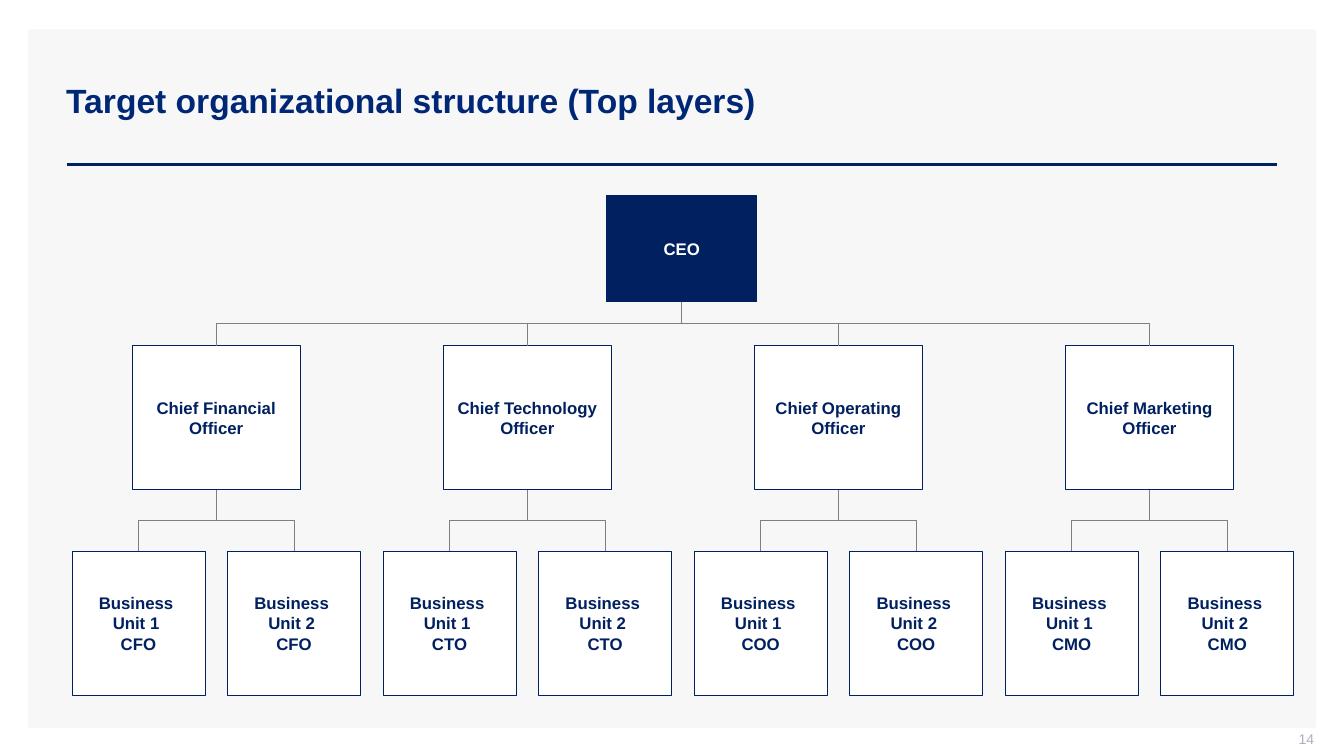
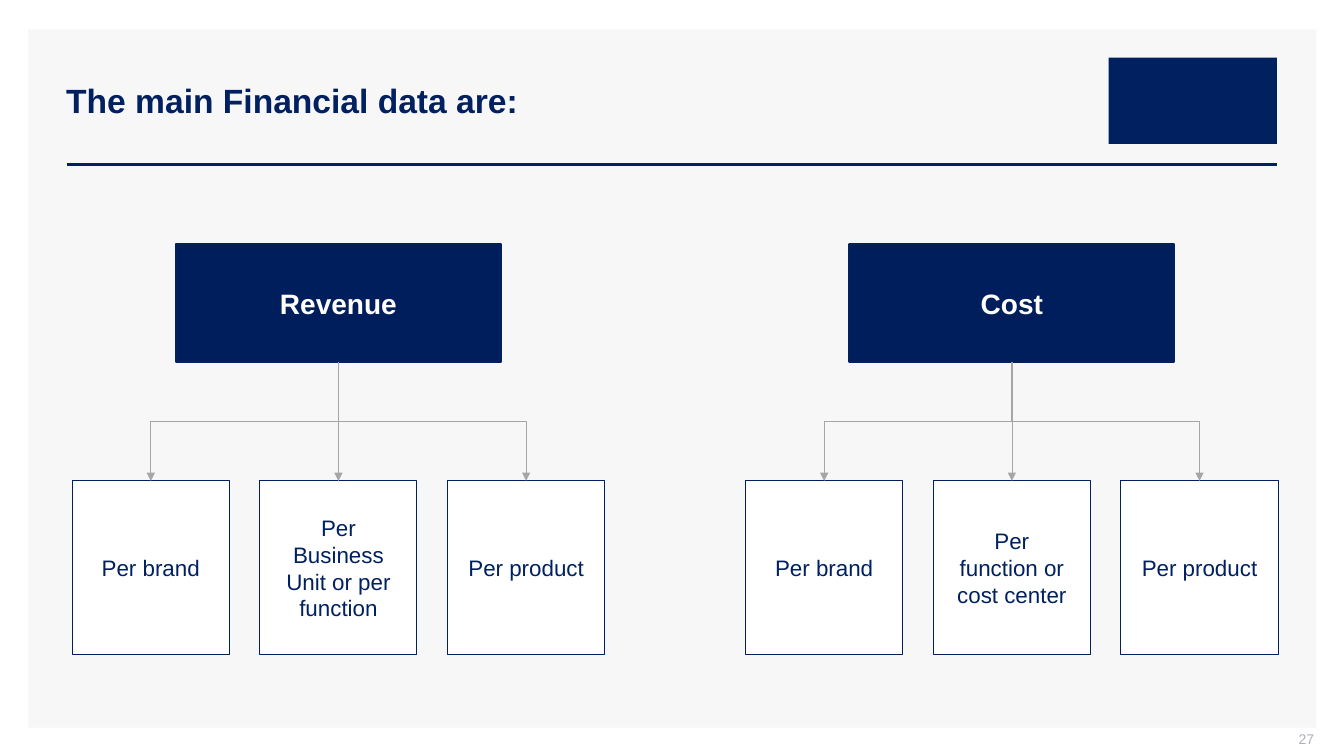
from lxml.etree import SubElement
from pptx import Presentation
from pptx.dml.color import RGBColor
from pptx.enum.shapes import MSO_CONNECTOR, MSO_SHAPE
from pptx.enum.text import MSO_ANCHOR, PP_ALIGN
from pptx.oxml.ns import qn
from pptx.util import Cm, Pt

NAVY, WHITE = "002060", "FFFFFF"


def color(code):
    return RGBColor.from_string(code)


def write(shape, text, size=12, ink=NAVY, bold=False, align=PP_ALIGN.CENTER,
          pads=(0.25, 0.13, 0.25, 0.13)):
    """Fill a shape with text; pads are left, top, right, bottom in cm."""
    frame = shape.text_frame
    frame.word_wrap = True
    frame.vertical_anchor = MSO_ANCHOR.MIDDLE
    (frame.margin_left, frame.margin_top,
     frame.margin_right, frame.margin_bottom) = map(Cm, pads)
    frame.text = text
    for para in frame.paragraphs:
        para.alignment = align
        for run in para.runs:
            font = run.font
            font.name, font.size, font.bold = "Arial", Pt(size), bold
            font.color.rgb = color(ink)


class Deck:
    """Holds the style of the slides and the current slide."""

    def __init__(self):
        self.pres = Presentation()
        self.pres.slide_width, self.pres.slide_height = Cm(33.87), Cm(19.05)
        self.slide = None

    def page(self, title, number, ink=NAVY):
        self.slide = self.pres.slides.add_slide(self.pres.slide_layouts[6])
        self.rect(0.71, 0.74, 32.46, 17.6, "F7F7F7")
        self.line(1.68, 4.14, 32.18, 4.14, NAVY, 2)
        self.label(1.42, 1.02, 30.76, 3.02, title, size=24, ink=ink,
                   bold=True, align=PP_ALIGN.LEFT)
        self.label(25.5, 18.41, 7.62, 0.53, number, size=10, ink="ADAFBB",
                   align=PP_ALIGN.RIGHT, pads=(0.25, 0, 0, 0.13))

    def label(self, x, y, w, h, text, **style):
        box = self.slide.shapes.add_textbox(Cm(x), Cm(y), Cm(w), Cm(h))
        write(box, text, **style)

    def rect(self, x, y, w, h, fill, edge=0):
        shape = self.slide.shapes.add_shape(
            MSO_SHAPE.RECTANGLE, Cm(x), Cm(y), Cm(w), Cm(h))
        shape.shadow.inherit = False
        shape.fill.solid()
        shape.fill.fore_color.rgb = color(fill)
        if edge:
            shape.line.color.rgb = color(NAVY)
            shape.line.width = Pt(edge)
        else:
            shape.line.fill.background()
        return shape

    def node(self, mid, y, w, h, text, fill=WHITE, edge=0.5, pad=0.05, **style):
        """Draw a text box of the chart, centred on mid."""
        shape = self.rect(mid - w / 2, y, w, h, fill, edge)
        write(shape, text, pads=(pad, 0.05, pad, 0.05), **style)
        return shape

    def line(self, x1, y1, x2, y2, ink, width, kind=MSO_CONNECTOR.STRAIGHT,
             arrow=False):
        link = self.slide.shapes.add_connector(
            kind, Cm(x1), Cm(y1), Cm(x2), Cm(y2))
        link.line.color.rgb = color(ink)
        link.line.width = Pt(width)
        props = link.element.spPr
        if arrow:
            SubElement(props.find(qn("a:ln")), qn("a:tailEnd"), type="triangle")
        SubElement(props, qn("a:effectLst"))
        return link

    def join(self, top, low, ink, arrow=False):
        """Link the bottom of one box to the top of another."""
        x1, x2 = (box.left + box.width // 2 for box in (top, low))
        y1, y2 = top.top + top.height, low.top
        bent = abs(x2 - x1) > Cm(0.05)
        kind = MSO_CONNECTOR.ELBOW if bent else MSO_CONNECTOR.STRAIGHT
        link = self.line(0, 0, 1, 1, ink, 0.5, kind, arrow)
        link.begin_connect(top, 2)
        link.end_connect(low, 0)
        if bent:
            # A quarter turn makes the elbow leave downwards
            wide, high = abs(x2 - x1), y2 - y1
            link.left = (x1 + x2 - high) // 2
            link.top = (y1 + y2 - wide) // 2
            link.width, link.height = high, wide
            link.rotation = 270 if x2 > x1 else 90
            link.element.spPr.xfrm.flipH = x2 > x1


def people(deck):
    deck.page("Target organizational structure (Top layers)", "14", "002776")
    grey = "7F7F7F"
    ceo = deck.node(17.18, 4.93, 3.78, 2.67, "CEO", NAVY, ink=WHITE, bold=True)
    roles = [("Financial", "CFO"), ("Technology", "CTO"),
             ("Operating", "COO"), ("Marketing", "CMO")]
    for i, (field, short) in enumerate(roles):
        mid = 5.45 + 7.84 * i
        chief = deck.node(mid, 8.71, 4.24, 3.63, f"Chief {field} Officer",
                          pad=0.15, bold=True)
        deck.join(ceo, chief, grey)
        for unit, shift in ((1, -1.96), (2, 1.96)):
            leaf = deck.node(mid + shift, 13.89, 3.35, 3.63,
                             f"Business \nUnit {unit} \n{short}",
                             pad=0.15, bold=True)
            deck.join(chief, leaf, grey)


def money(deck):
    deck.page("The main Financial data are:", "27")
    deck.rect(27.94, 1.45, 4.24, 2.18, NAVY)
    trees = [(8.53, "Revenue", "Per Business Unit or per function"),
             (25.5, "Cost", "Per function or cost center")]
    for mid, name, split in trees:
        head = deck.node(mid, 6.15, 8.18, 2.97, name, "001E5B", 1.5,
                         size=20, ink=WHITE, bold=True)
        for i, text in enumerate(("Per brand", split, "Per product")):
            leaf = deck.node(mid + 4.73 * (i - 1), 12.12, 3.96, 4.37, text,
                             edge=0.75, pad=0.5, size=16)
            deck.join(head, leaf, "A6A6A6", arrow=True)


def main():
    deck = Deck()
    people(deck)
    money(deck)
    deck.pres.save("out.pptx")


if __name__ == "__main__":
    main()
